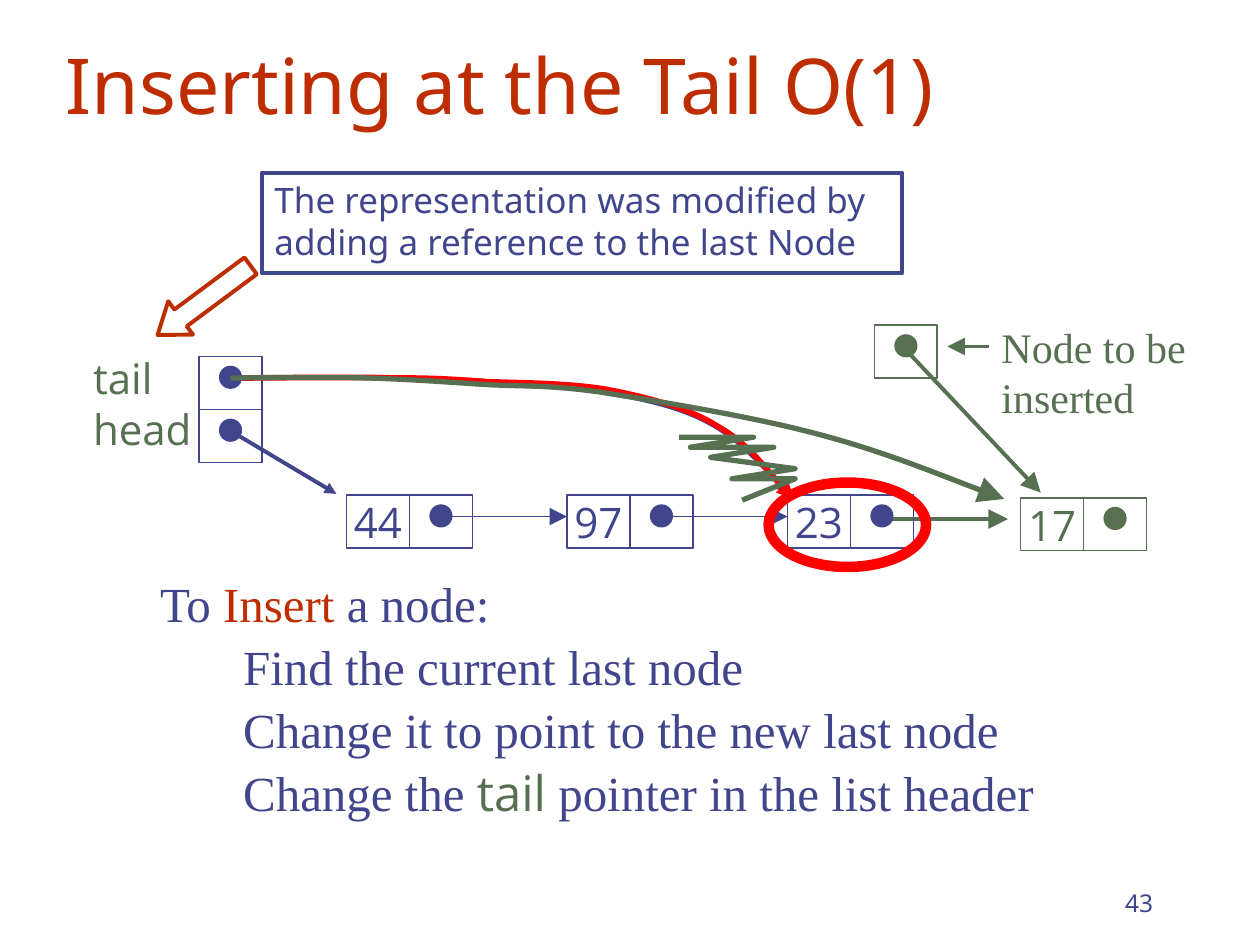
from dataclasses import dataclass
from lxml.etree import SubElement
from pptx import Presentation
from pptx.dml.color import RGBColor
from pptx.enum.shapes import MSO_CONNECTOR, MSO_SHAPE
from pptx.enum.text import MSO_ANCHOR, MSO_AUTO_SIZE, PP_ALIGN
from pptx.oxml.ns import qn
from pptx.util import Inches, Pt


@dataclass(frozen=True)
class Theme:
    """Colours, fonts and type sizes of the slide."""
    blue: str = "40458C"
    green: str = "577052"
    rust: str = "BE2D00"
    red: str = "FF0000"
    sans: str = "Noto Sans"
    code: str = "Open Sans"
    serif: str = "Times New Roman"
    title: int = 44
    body: int = 28
    label: int = 24
    note: int = 20
    small: int = 14


T = Theme()
CELL_W, CELL_H, DOT = 0.5, 0.42, 0.17


def rgb(color):
    """Turn a hex string into a colour."""
    return RGBColor.from_string(color)


def write(para, text, *, font=T.sans, size=T.label, color=T.blue,
          align=PP_ALIGN.LEFT, pitch=None):
    """Add a formatted run to a paragraph; pitch is the line height."""
    run = para.add_run()
    run.text = text
    run.font.name, run.font.size = font, Pt(size)
    run.font.color.rgb = rgb(color)
    para.alignment = align
    para.space_before = Pt(0)
    if pitch:
        para.line_spacing = Pt(pitch)


def place(shape, x, y, w, h):
    """Move and size a shape, in inches."""
    shape.left, shape.top = Inches(x), Inches(y)
    shape.width, shape.height = Inches(w), Inches(h)


def label(slide, x, y, w, h, lines, anchor=MSO_ANCHOR.TOP, **style):
    """Add a wrapped text box, one paragraph for each line."""
    frame = slide.shapes.add_textbox(
        Inches(x), Inches(y), Inches(w), Inches(h)).text_frame
    frame.word_wrap = True
    frame.vertical_anchor = anchor
    for i, line in enumerate(lines):
        para = frame.add_paragraph() if i else frame.paragraphs[0]
        write(para, line, **style)


def outline(shape, color, width, fill=None):
    """Set line and fill, and drop the shadow."""
    shape.shadow.inherit = False
    shape.line.color.rgb = rgb(color)
    shape.line.width = Pt(width)
    if fill:
        shape.fill.solid()
        shape.fill.fore_color.rgb = rgb(fill)
    else:
        shape.fill.background()


def preset(slide, kind, x, y, w, h, color, width=1, fill=None):
    """Add a preset shape."""
    shape = slide.shapes.add_shape(
        kind, Inches(x), Inches(y), Inches(w), Inches(h))
    outline(shape, color, width, fill)
    return shape


def cell(slide, x, y, color, text=None):
    """Add one cell of a node, with its value if it has one."""
    shape = preset(slide, MSO_SHAPE.RECTANGLE, x, y, CELL_W, CELL_H, color)
    if text:
        frame = shape.text_frame
        frame.word_wrap = False
        frame.vertical_anchor = MSO_ANCHOR.MIDDLE
        write(frame.paragraphs[0], text, font=T.code, color=color,
              align=PP_ALIGN.CENTER)


def link(slide, x, y, color):
    """Add a cell that holds a pointer dot."""
    cell(slide, x, y, color)
    preset(slide, MSO_SHAPE.OVAL, x + (CELL_W - DOT) / 2, y + 0.08,
           DOT, DOT, color, fill=color)


def node(slide, x, y, color, text):
    """Add a value cell with a pointer cell beside it."""
    cell(slide, x, y, color, text)
    link(slide, x + CELL_W, y, color)


def tip(shape, size="lg"):
    """Put an arrowhead on the end of a line."""
    SubElement(shape.line._get_or_add_ln(), qn("a:tailEnd"),
               type="triangle", w=size, len=size)


def arrow(slide, start, end, color, width, size="lg"):
    """Add a straight arrow between two points."""
    line = slide.shapes.add_connector(
        MSO_CONNECTOR.STRAIGHT, *(Inches(v) for v in (*start, *end)))
    line.line.color.rgb = rgb(color)
    line.line.width = Pt(width)
    tip(line, size)
    SubElement(line._element.spPr, qn("a:effectLst"))


def trace(slide, points, color, width):
    """Add an open outline through the points."""
    spots = [(Inches(x), Inches(y)) for x, y in points]
    pen = slide.shapes.build_freeform(*spots[0])
    pen.add_line_segments(spots[1:], close=False)
    shape = pen.convert_to_shape()
    outline(shape, color, width)
    return shape


def curve(slide, points, color, width, size="med"):
    """Add a curved arrow; each three points make one cubic segment."""
    shape = trace(slide, points, color, width)
    steps = list(shape._element.iter(qn("a:lnTo")))
    for i in range(0, len(steps), 3):
        cubic = SubElement(steps[i].getparent(), qn("a:cubicBezTo"))
        for step in steps[i:i + 3]:
            cubic.append(step[0])
            step.getparent().remove(step)
    tip(shape, size)


def heading(slide):
    """Fill the title and add the page number."""
    title = slide.shapes.title
    place(title, 0.42, -0.17, 8.5, 1.25)
    frame = title.text_frame
    frame.auto_size = MSO_AUTO_SIZE.NONE
    frame.vertical_anchor = MSO_ANCHOR.BOTTOM
    write(frame.paragraphs[0], "Inserting at the Tail O(1)",
          size=T.title, color=T.rust)
    label(slide, 7.17, 6.83, 2.08, 0.5, ["43"], MSO_ANCHOR.BOTTOM,
          size=T.small, align=PP_ALIGN.RIGHT)


def steps(slide):
    """Fill the body with the steps of the insertion."""
    body = slide.placeholders[1]
    place(body, 1.17, 4.47, 7.58, 2.1)
    frame = body.text_frame
    frame.auto_size = MSO_AUTO_SIZE.NONE
    rows = [
        [("To ", {}), ("Insert ", {"color": T.rust}), ("a node:", {})],
        [("Find the current last node", {})],
        [("Change it to point to the new last node", {})],
        [("Change the ", {}), ("tail", {"font": T.code, "color": T.green}),
         (" pointer in the list header", {})],
    ]
    for i, row in enumerate(rows):
        para = frame.add_paragraph() if i else frame.paragraphs[0]
        for text, style in row:
            write(para, text, **{"font": T.serif, "size": T.body,
                                 "pitch": 36, **style})
        props = para._p.get_or_add_pPr()
        props.set("marL", str(Inches(0.66 if i else 0)))
        props.set("indent", "0")
        SubElement(props, qn("a:buNone"))


def chain(slide):
    """Draw the list header, its nodes and the node to be inserted."""
    node(slide, 8.1, 3.95, T.green, "17")
    link(slide, 6.94, 2.58, T.green)
    label(slide, 7.85, 2.5, 1.67, 0.9, ["Node to be inserted"],
          font=T.serif, color=T.green, pitch=28.8)
    arrow(slide, (7.85, 2.75), (7.52, 2.75), T.green, 1.5)
    arrow(slide, (7.23, 2.82), (8.26, 3.91), T.green, 2.25)
    arrow(slide, (7, 4.12), (8, 4.12), T.green, 2.25)
    label(slide, 0.64, 2.75, 1.08, 0.9, ["tail", "head"],
          font=T.code, color=T.green, pitch=28.8)
    for y in (2.83, 3.25):
        link(slide, 1.58, y, T.blue)
    arrow(slide, (1.83, 3.42), (2.67, 3.92), T.blue, 2.25, "med")
    for i, text in enumerate(("44", "97", "23")):
        x = 2.75 + 1.75 * i
        node(slide, x, 3.93, T.blue, text)
        if i:
            arrow(slide, (x - 1, 4.1), (x, 4.1), T.blue, 1)


def changes(slide):
    """Draw the old and new tail pointers and the marks on them."""
    curve(slide, [
        (1.83, 3), (2.15, 3), (2.59, 3), (2.92, 3), (3.24, 3), (3.49, 3),
        (3.79, 3.02), (4.08, 3.04), (4.39, 3.05), (4.7, 3.1), (5, 3.15),
        (5.35, 3.21), (5.61, 3.35), (5.87, 3.48), (6.13, 3.8), (6.26, 3.91),
    ], T.blue, 2.25)
    curve(slide, [
        (1.92, 3), (2.12, 3), (2.8, 2.99), (3.12, 3), (3.45, 3), (3.59, 3.01),
        (3.87, 3.03), (4.15, 3.04), (4.51, 3.04), (4.81, 3.09), (5.12, 3.15),
        (5.45, 3.23), (5.69, 3.38), (5.94, 3.52), (6.17, 3.84), (6.3, 3.96),
    ], T.red, 3.25)
    preset(slide, MSO_SHAPE.OVAL, 6.1, 3.83, 1.25, 0.67, T.red, 6)
    curve(slide, [
        (1.83, 3), (2.01, 3), (2.58, 2.99), (2.91, 3), (3.24, 3.01),
        (3.51, 3.03), (3.82, 3.05), (4.13, 3.07), (4.3, 3.05), (4.75, 3.11),
        (5.19, 3.18), (5.94, 3.3), (6.47, 3.44), (7.01, 3.58), (7.66, 3.85),
        (7.97, 3.96)], T.green, 3, "lg")
    trace(slide, [
        (5.39, 3.47), (5.98, 3.47), (5.48, 3.55), (6.14, 3.55), (5.64, 3.63),
        (6.31, 3.72), (5.81, 3.8), (6.31, 3.8), (5.89, 3.97)], T.green, 3)


def remark(slide):
    """Add the boxed remark and the block arrow to the tail."""
    box = preset(slide, MSO_SHAPE.RECTANGLE, 2.08, 1.37, 5.08, 0.8,
                 T.blue, 2.25)
    box.text_frame.vertical_anchor = MSO_ANCHOR.TOP
    write(box.text_frame.paragraphs[0], "The representation was modified by "
          "adding a reference to the last Node", size=T.note, pitch=24)
    block = preset(slide, MSO_SHAPE.LEFT_ARROW, 1.16, 2.22, 0.92, 0.33,
                   T.rust, 2.25)
    block.adjustments[0], block.adjustments[1] = 0.5, 0.69
    block.rotation = 323.4


def main():
    """Build and save the slide."""
    deck = Presentation()
    deck.slide_width, deck.slide_height = Inches(10), Inches(7.5)
    slide = deck.slides.add_slide(deck.slide_layouts[1])
    for part in (heading, steps, chain, changes, remark):
        part(slide)
    deck.save("out.pptx")


main()
